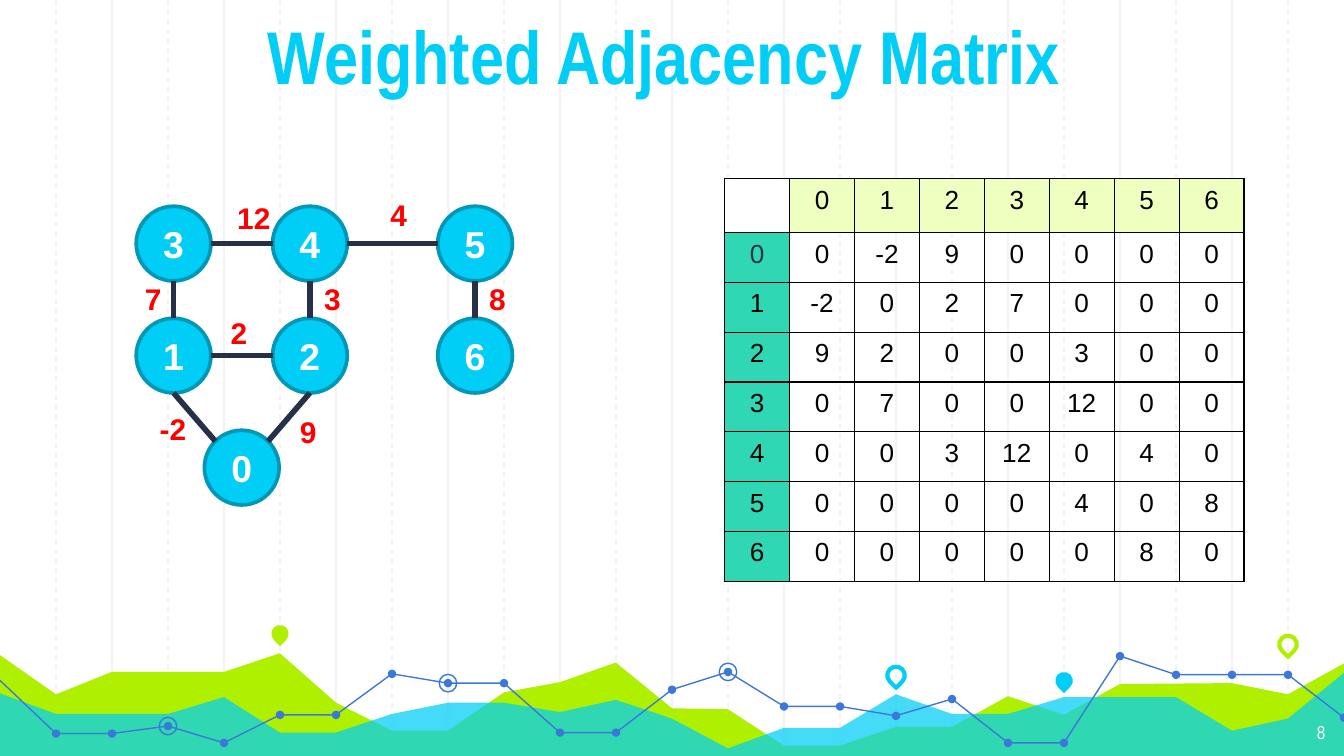
"""Build the weighted adjacency matrix slide."""
from dataclasses import dataclass
from typing import NamedTuple, Optional

from lxml.etree import SubElement
from pptx import Presentation
from pptx.dml.color import RGBColor
from pptx.enum.dml import MSO_LINE
from pptx.enum.shapes import MSO_CONNECTOR, MSO_SHAPE
from pptx.enum.text import MSO_ANCHOR, MSO_AUTO_SIZE, PP_ALIGN
from pptx.oxml.ns import qn
from pptx.shapes.base import BaseShape
from pptx.slide import Slide
from pptx.text.text import TextFrame
from pptx.util import Pt


@dataclass(frozen=True)
class Theme:
    heading_font: str = "Arial Narrow"
    body_font: str = "Arial"
    title_size: float = 40
    node_size: float = 20
    weight_size: float = 16
    cell_size: float = 14
    number_size: float = 10
    cyan: str = "00CEF6"
    rim: str = "0098B6"
    lime: str = "AFF000"
    pale_lime: str = "EEFFC0"
    teal: str = "2FD7B4"
    trend: str = "3C78D8"
    guide: str = "F3F3F3"
    edge: str = "263149"
    ink: str = "28324A"
    red: str = "FF0000"
    black: str = "000000"
    white: str = "FFFFFF"


class Point(NamedTuple):
    x: float
    y: float


class Pin(NamedTuple):
    center: Point
    color: str
    hollow: bool


class Edge(NamedTuple):
    start: int
    end: int
    weight: int
    label: Point


THEME = Theme()
WIDTH, HEIGHT, STEP = 720, 405, 30
NODE_DIAMETER, DOT_DIAMETER, MARKER_DIAMETER = 40, 4.5, 9.4
DIAGONAL = 0.5 ** 0.5

LIME_HILLS = {0: 351, 1: 372, 2: 360, 4: 360, 5: 350, 6: 376.5, 7: 391.5, 8: 391.5,
              9: 371, 10: 365.5, 11: 355, 12: 379.5, 13: 380, 14: 399.5, 15: 399.5,
              16: 389.5, 17: 389.5, 18: 373, 19: 383, 20: 366.5, 22: 366, 23: 372,
              24: 355.5}
CYAN_HILLS = {0: 371.5, 1: 382.5, 3: 382.5, 4: 373.5, 5: 392.5, 6: 392.5, 7: 382.5,
              8: 376.5, 9: 376.5, 10: 381.5, 11: 375, 12: 385, 13: 401, 14: 390,
              15: 390, 16: 372, 17: 382.5, 18: 382.5, 19: 373.5, 21: 373.5,
              22: 391.5, 23: 385, 24: 360.5}
TREND_HEIGHTS = [364.5, 393, 393, 389, 398, 383, 383, 361, 366, 366, 392.5, 392.5,
                 369.5, 360, 378.5, 378.5, 383.5, 374.5, 398, 398, 351.5, 361.5,
                 361.5, 361.5, 384.5]
TREND = [Point(index * STEP, y) for index, y in enumerate(TREND_HEIGHTS)]
TREND_BREAKS = [0, 11, 20, 24]
RINGED = [8, 3, 13]
PINS = [Pin(Point(150, 339.5), THEME.lime, False),
        Pin(Point(480, 361.8), THEME.cyan, True),
        Pin(Point(570, 364.7), THEME.cyan, False),
        Pin(Point(690, 345.2), THEME.lime, True)]
NODES = {3: Point(93, 130.5), 4: Point(166, 130.5), 1: Point(93, 190.5),
         2: Point(166, 190.5), 5: Point(254.5, 130.5), 6: Point(254.5, 190.5),
         0: Point(129.5, 250.5)}
EDGES = [Edge(3, 4, 12, Point(120, 103.5)), Edge(3, 1, 7, Point(70.5, 147)),
         Edge(4, 5, 4, Point(202, 102)), Edge(5, 6, 8, Point(255, 147)),
         Edge(4, 2, 3, Point(166.5, 147)), Edge(1, 2, 2, Point(116.5, 165)),
         Edge(1, 0, -2, Point(78.5, 216.5)), Edge(2, 0, 9, Point(153.5, 218))]


def rgb(color: str) -> RGBColor:
    return RGBColor.from_string(color)


def write(frame: TextFrame, text: str, size: float, color: str, bold: bool = False,
          font: str = THEME.body_font, align: PP_ALIGN = PP_ALIGN.CENTER) -> None:
    frame.text = text
    paragraph = frame.paragraphs[0]
    paragraph.alignment = align
    for run in paragraph.runs:
        run.font.name, run.font.size, run.font.bold = font, Pt(size), bold
        run.font.color.rgb = rgb(color)


def paint(shape: BaseShape, fill: Optional[str] = None, line: Optional[str] = None,
          width: float = 0.75) -> None:
    shape.shadow.inherit = False
    if fill:
        shape.fill.solid()
        shape.fill.fore_color.rgb = rgb(fill)
    else:
        shape.fill.background()
    if line:
        shape.line.color.rgb = rgb(line)
        shape.line.width = Pt(width)
    else:
        shape.line.fill.background()


def add_centered(slide: Slide, kind: MSO_SHAPE, center: Point, size: float) -> BaseShape:
    return slide.shapes.add_shape(kind, Pt(center.x - size / 2), Pt(center.y - size / 2),
                                  Pt(size), Pt(size))


def add_line(slide: Slide, start: Point, end: Point, color: str, width: float,
             dashed: bool = False) -> None:
    connector = slide.shapes.add_connector(MSO_CONNECTOR.STRAIGHT, Pt(start.x), Pt(start.y),
                                           Pt(end.x), Pt(end.y))
    connector.line.color.rgb = rgb(color)
    connector.line.width = Pt(width)
    if dashed:
        connector.line.dash_style = MSO_LINE.DASH
    SubElement(connector.element.spPr, qn("a:effectLst"))


def add_outline(slide: Slide, points: list[Point], close: bool) -> BaseShape:
    corners = [(Pt(point.x), Pt(point.y)) for point in points]
    builder = slide.shapes.build_freeform(*corners[0])
    builder.add_line_segments(corners[1:], close=close)
    return builder.convert_to_shape()


def add_hills(slide: Slide, heights: dict[int, float], color: str) -> BaseShape:
    ridge = [Point(index * STEP, y) for index, y in heights.items()]
    hills = add_outline(slide, ridge + [Point(WIDTH, HEIGHT), Point(0, HEIGHT)], True)
    paint(hills, color)
    return hills


def add_background(slide: Slide) -> None:
    for first, dashed in ((2 * STEP, False), (STEP, True)):
        for x in range(first, WIDTH, 2 * STEP):
            add_line(slide, Point(x, 0), Point(x, HEIGHT), THEME.guide, 0.75, dashed)
    add_hills(slide, LIME_HILLS, THEME.lime)
    cyan_hills = add_hills(slide, CYAN_HILLS, THEME.cyan)
    color = cyan_hills.element.spPr.find(".//" + qn("a:srgbClr"))
    SubElement(color, qn("a:alpha"), val="73000")
    for first, last in zip(TREND_BREAKS, TREND_BREAKS[1:]):
        paint(add_outline(slide, TREND[first:last + 1], False), line=THEME.trend)
    for point in TREND[1:]:
        paint(add_centered(slide, MSO_SHAPE.OVAL, point, DOT_DIAMETER), THEME.trend)
    for index in RINGED:
        ring = add_centered(slide, MSO_SHAPE.OVAL, TREND[index], MARKER_DIAMETER)
        paint(ring, line=THEME.trend)
    for pin in PINS:
        drop = add_centered(slide, MSO_SHAPE.TEAR, pin.center, MARKER_DIAMETER)
        drop.rotation = 135
        paint(drop, None if pin.hollow else pin.color, pin.color if pin.hollow else None, 2.25)


def add_text(slide: Slide, corner: Point, width: float, height: float) -> TextFrame:
    box = slide.shapes.add_textbox(Pt(corner.x), Pt(corner.y), Pt(width), Pt(height))
    box.text_frame.word_wrap = True
    return box.text_frame


def add_title(slide: Slide) -> None:
    title = slide.shapes.title
    title.element.getparent().append(title.element)
    title.left, title.top, title.width, title.height = Pt(0), Pt(4.3), Pt(WIDTH), Pt(56.2)
    frame = title.text_frame
    write(frame, "Weighted Adjacency Matrix ", THEME.title_size, THEME.cyan, True,
          THEME.heading_font)
    frame.auto_size, frame.vertical_anchor = MSO_AUTO_SIZE.NONE, MSO_ANCHOR.BOTTOM
    frame.margin_top = frame.margin_bottom = Pt(7.2)


def edge_ends(edge: Edge) -> tuple[Point, Point]:
    start, end, radius = NODES[edge.start], NODES[edge.end], NODE_DIAMETER / 2
    if start.y == end.y:
        return Point(start.x + radius, start.y), Point(end.x - radius, end.y)
    bottom = Point(start.x, start.y + radius)
    if start.x == end.x:
        return bottom, Point(end.x, end.y - radius)
    reach = radius * DIAGONAL
    return bottom, Point(end.x + (reach if start.x > end.x else -reach), end.y - reach)


def add_graph(slide: Slide) -> None:
    for label, center in NODES.items():
        node = add_centered(slide, MSO_SHAPE.OVAL, center, NODE_DIAMETER)
        paint(node, THEME.cyan, THEME.rim, 2)
        write(node.text_frame, str(label), THEME.node_size, THEME.white, True)
        node.text_frame.vertical_anchor = MSO_ANCHOR.MIDDLE
    for edge in EDGES:
        add_line(slide, *edge_ends(edge), THEME.edge, 3)
        write(add_text(slide, edge.label, 44.6, 26.6), str(edge.weight), THEME.weight_size,
              THEME.red, True, align=PP_ALIGN.LEFT)


def add_matrix(slide: Slide) -> None:
    count = len(NODES)
    weights = {pair: edge.weight for edge in EDGES
               for pair in ((edge.start, edge.end), (edge.end, edge.start))}
    rows = [["", *range(count)]]
    rows += [[row, *(weights.get((row, column), 0) for column in range(count))]
             for row in range(count)]
    size = count + 1
    table = slide.shapes.add_table(size, size, Pt(388.2), Pt(95.8), Pt(34.8 * size),
                                   Pt(26.7 * size)).table
    table.first_row = table.horz_banding = False
    for row, values in enumerate(rows):
        for column, value in enumerate(values):
            cell = table.cell(row, column)
            color = THEME.ink if (row, column) == (1, 0) else THEME.black
            write(cell.text_frame, str(value), THEME.cell_size, color)
            properties = cell._tc.get_or_add_tcPr()
            for side in ("a:lnL", "a:lnR", "a:lnT", "a:lnB"):
                border = SubElement(properties, qn(side), w=str(Pt(0.75)))
                SubElement(SubElement(border, qn("a:solidFill")), qn("a:srgbClr"),
                           val=THEME.black)
            if row and column:
                cell.fill.background()
                continue
            cell.fill.solid()
            header = THEME.teal if row else THEME.pale_lime if column else THEME.white
            cell.fill.fore_color.rgb = rgb(header)


def main() -> None:
    presentation = Presentation()
    presentation.slide_width, presentation.slide_height = Pt(WIDTH), Pt(HEIGHT)
    slide = presentation.slides.add_slide(presentation.slide_layouts[5])
    add_background(slide)
    number = add_text(slide, Point(673.9, 380.2), 43.2, 25.2)
    number.margin_top = number.margin_bottom = Pt(7.2)
    write(number, "8", THEME.number_size, THEME.white, font=THEME.heading_font,
          align=PP_ALIGN.RIGHT)
    add_title(slide)
    add_graph(slide)
    add_matrix(slide)
    presentation.save("out.pptx")


main()
